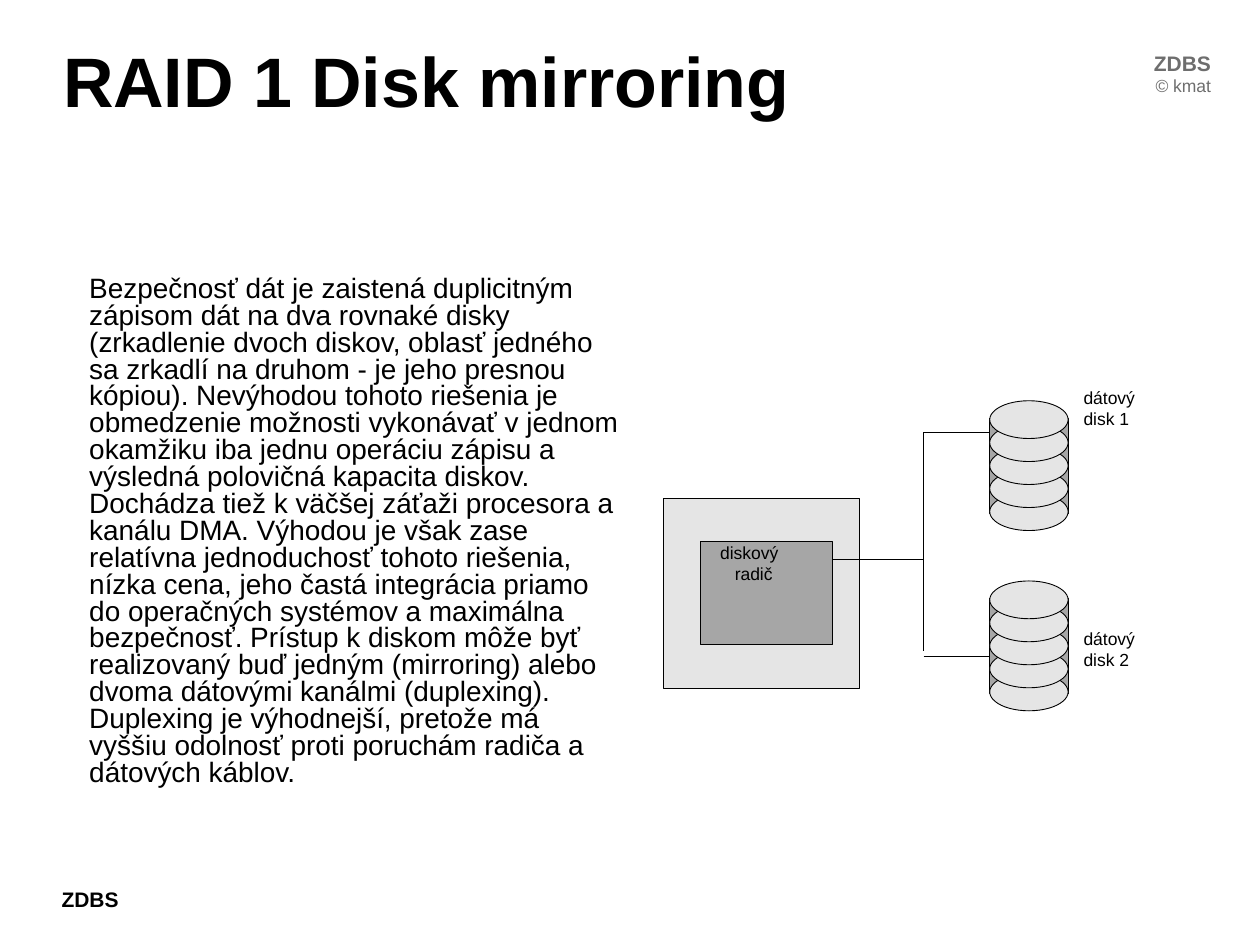
from lxml.etree import SubElement
from pptx import Presentation
from pptx.dml.color import RGBColor
from pptx.enum.shapes import MSO_CONNECTOR, MSO_SHAPE
from pptx.enum.text import MSO_ANCHOR, MSO_AUTO_SIZE, PP_ALIGN
from pptx.oxml.ns import qn
from pptx.util import Pt

COLORS = {"ink": "000000", "muted": "6E6E6E", "light": "E5E5E5", "dark": "A6A6A6"}
FONT = "Arial"
BODY = (
    "Bezpečnosť dát je zaistená duplicitným zápisom dát na dva rovnaké disky "
    "(zrkadlenie dvoch diskov, oblasť jedného sa zrkadlí na druhom - je jeho "
    "presnou kópiou). Nevýhodou tohoto riešenia je obmedzenie možnosti vykonávať "
    "v jednom okamžiku iba jednu operáciu zápisu a výsledná polovičná kapacita "
    "diskov. Dochádza tiež k väčšej záťaži procesora a kanálu DMA. Výhodou je však "
    "zase relatívna jednoduchosť tohoto riešenia, nízka cena, jeho častá integrácia "
    "priamo do operačných systémov a maximálna bezpečnosť. Prístup k diskom môže "
    "byť realizovaný buď jedným (mirroring) alebo dvoma dátovými kanálmi (duplexing). "
    "Duplexing je výhodnejší, pretože má vyššiu odolnosť proti poruchám radiča a "
    "dátových káblov."
)


def rgb(name):
    return RGBColor.from_string(COLORS[name])


def place(shape, box):
    shape.left, shape.top, shape.width, shape.height = (Pt(v) for v in box)


def set_frame(frame, inset_x=0, inset_y=0, wrap=True, anchor=MSO_ANCHOR.TOP):
    frame.word_wrap = wrap
    frame.auto_size = MSO_AUTO_SIZE.NONE
    frame.vertical_anchor = anchor
    frame.margin_left = frame.margin_right = Pt(inset_x)
    frame.margin_top = frame.margin_bottom = Pt(inset_y)


def write(paragraph, text, size, color="ink", bold=False, align=PP_ALIGN.LEFT, indent=0):
    paragraph.alignment = align
    properties = paragraph._p.get_or_add_pPr()
    properties.set("marL", str(Pt(indent)))
    properties.set("indent", "0")
    run = paragraph.add_run()
    run.text = text
    run.font.name, run.font.size, run.font.bold = FONT, Pt(size), bold
    run.font.color.rgb = rgb(color)


def write_lines(frame, lines):
    for i, (text, style) in enumerate(lines):
        paragraph = frame.add_paragraph() if i else frame.paragraphs[0]
        write(paragraph, text, **style)


def add_label(slide, box, lines, **frame_options):
    label = slide.shapes.add_textbox(*(Pt(v) for v in box))
    set_frame(label.text_frame, **frame_options)
    write_lines(label.text_frame, lines)


def add_block(slide, kind, box, fill):
    block = slide.shapes.add_shape(kind, *(Pt(v) for v in box))
    block.shadow.inherit = False
    block.fill.solid()
    block.fill.fore_color.rgb = rgb(fill)
    block.line.color.rgb = rgb("ink")
    block.line.width = Pt(0.5)
    return block


def add_wire(slide, x1, y1, x2, y2):
    wire = slide.shapes.add_connector(
        MSO_CONNECTOR.STRAIGHT, *(Pt(v) for v in (x1, y1, x2, y2)))
    wire.line.color.rgb = rgb("ink")
    wire.line.width = Pt(0.5)
    SubElement(wire._element.spPr, qn("a:effectLst"))


def add_title(slide, box):
    title = slide.shapes.title
    place(title, box)
    set_frame(title.text_frame)
    write(title.text_frame.paragraphs[0], "RAID 1 Disk mirroring", 40, bold=True)


def add_body(slide, box):
    body = slide.placeholders[1]
    place(body, box)
    set_frame(body.text_frame, inset_y=3.6, anchor=MSO_ANCHOR.MIDDLE)
    paragraph = body.text_frame.paragraphs[0]
    SubElement(paragraph._p.get_or_add_pPr(), qn("a:buNone"))
    paragraph.line_spacing = 0.8
    paragraph.space_before = Pt(0)
    write(paragraph, BODY, 16, indent=15)


def add_course_marks(slide, footer_box, corner_box):
    options = {"inset_x": 7.2, "inset_y": 3.6, "wrap": False}
    add_label(slide, footer_box, [("ZDBS", {"size": 12, "bold": True})], **options)
    muted = {"color": "muted", "align": PP_ALIGN.RIGHT}
    add_label(slide, corner_box, [
        ("ZDBS", {"size": 12, "bold": True, **muted}),
        ("© kmat", {"size": 10, **muted}),
    ], **options)


def add_controller(slide, box):
    left, top, _, _ = box
    add_block(slide, MSO_SHAPE.RECTANGLE, box, "light")
    controller = add_block(
        slide, MSO_SHAPE.RECTANGLE, (left + 21, top + 24.5, 75.6, 59), "dark")
    set_frame(controller.text_frame)
    write_lines(controller.text_frame, [
        ("diskový", {"size": 10, "indent": 11.1}),
        ("radič", {"size": 10, "indent": 19.5}),
    ])


def add_disk(slide, box, platters=5):
    left, top, width, height = box
    platter_height = 21.6
    step = (height - platter_height) / (platters - 1)
    add_block(slide, MSO_SHAPE.RECTANGLE,
              (left, top + 10.2, width, height - 20.2), "dark")
    for i in reversed(range(platters)):
        add_block(slide, MSO_SHAPE.OVAL,
                  (left + 0.4, top + i * step, width - 0.4, platter_height), "light")


def add_mirroring_diagram(slide, box):
    left, top, _, _ = box
    bus_x, disk_x = left + 148.4, left + 185.8
    # Controller inside the computer
    add_controller(slide, (left, top + 56, 111.6, 108.7))
    # Mirrored disks and their labels
    for number, (disk_y, label_y) in enumerate([(0, -8), (103, 130.1)], start=1):
        add_disk(slide, (disk_x, top + disk_y, 45.2, 74.2))
        add_label(slide, (left + 239.8, top + label_y, 41, 32), [
            ("dátový", {"size": 10}), (f"disk {number}", {"size": 10})])
    # Bus
    add_wire(slide, bus_x, top + 18, bus_x, top + 143.2)
    add_wire(slide, left + 96.6, top + 90.6, bus_x, top + 90.6)
    for branch_y in (18, 146.2):
        add_wire(slide, bus_x, top + branch_y, disk_x, top + branch_y)


def main():
    deck = Presentation()
    deck.slide_width, deck.slide_height = Pt(720), Pt(540)
    slide = deck.slides.add_slide(deck.slide_layouts[1])
    add_course_marks(slide, (28.1, 503.3, 46.8, 36), (652.3, 25.2, 46.8, 33.8))
    add_mirroring_diagram(slide, (379.4, 229, 281, 177))
    add_title(slide, (36, 21.6, 648, 90))
    add_body(slide, (36, 126, 318.2, 356.4))
    deck.save("out.pptx")


if __name__ == "__main__":
    main()
